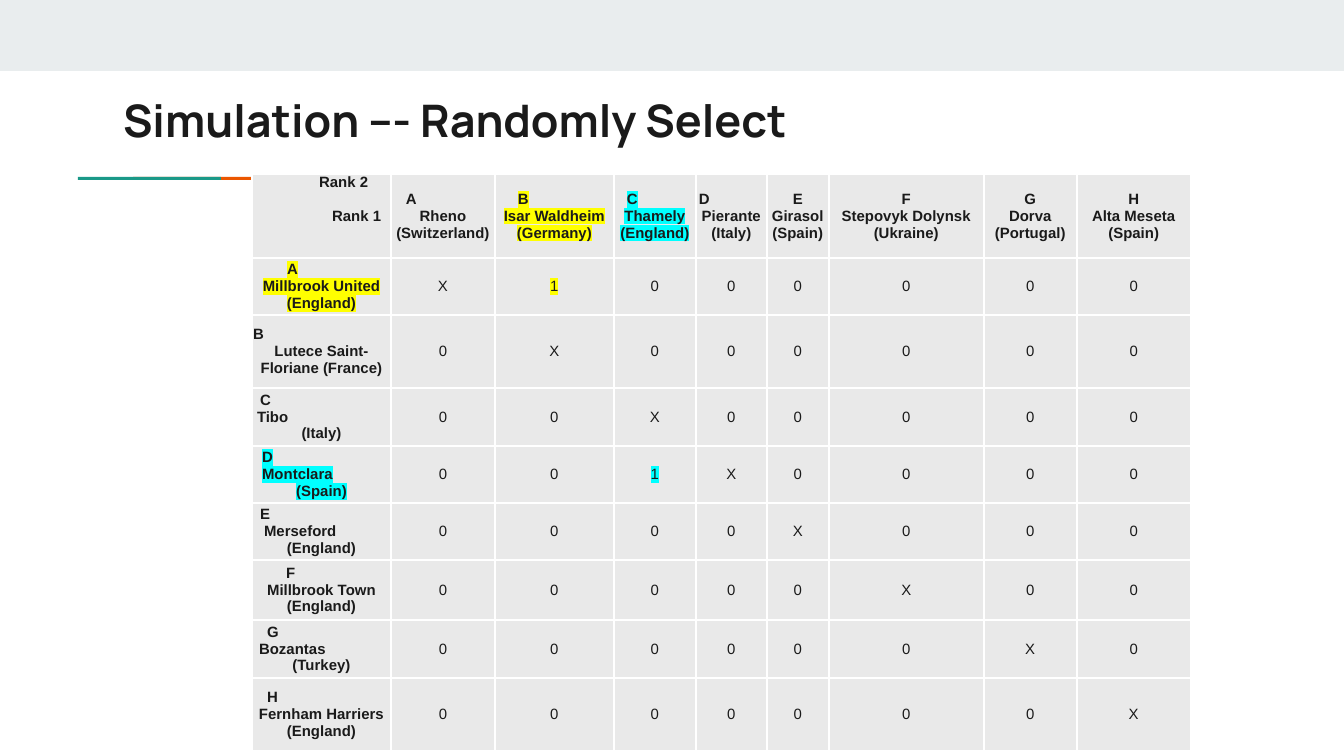
from dataclasses import dataclass

from lxml import etree
from pptx import Presentation
from pptx.dml.color import RGBColor
from pptx.enum.shapes import MSO_SHAPE
from pptx.enum.text import MSO_ANCHOR, PP_ALIGN
from pptx.oxml.ns import qn
from pptx.util import Emu, Pt

RECT = MSO_SHAPE.RECTANGLE
TOP, MIDDLE = MSO_ANCHOR.TOP, MSO_ANCHOR.MIDDLE
LEFT, CENTER = PP_ALIGN.LEFT, PP_ALIGN.CENTER

SCALE = 914400 / 134.4
INK, GREY, WHITE = "1A1A1A", "E9E9E9", "FFFFFF"
YELLOW, CYAN = "FFFF00", "00FFFF"


@dataclass
class Bar:
    left: int
    top: int
    width: int
    height: int
    fill: str


@dataclass
class Line:
    text: str
    left: int | None = None  # indent; centred when absent
    gap: int = 0


@dataclass
class Label:
    lines: list[Line]
    mark: str = ""


def px(n: int) -> Emu:
    return Emu(round(n * SCALE))


def color(code: str) -> RGBColor:
    return RGBColor.from_string(code)


def team(group: str, left: int | None, name: str, mark: str = "") -> Label:
    return Label([Line(group, left), Line(name)], mark)


def split(group: str, left: int, name: str, shift: int, land: str,
          mark: str = "") -> Label:
    return Label([Line(group, left), Line(name, shift), Line(land)], mark)


BARS = [
    Bar(0, 0, 1344, 71, "E9EDEE"),
    Bar(133, 177, 143, 3, "EB5600"),
    Bar(78, 177, 143, 3, "1A9988"),
]
CORNER = Label([Line("Rank 2", 67), Line("Rank 1", 80, 17)])
SECOND = [
    team("A", 15, "Rheno (Switzerland)"),
    team("B", 23, "Isar Waldheim (Germany)", YELLOW),
    team("C", 13, "Thamely (England)", CYAN),
    team("D", 3, "Pierante (Italy)"),
    team("E", None, "Girasol (Spain)"),
    team("F", None, "Stepovyk Dolynsk (Ukraine)"),
    team("G", None, "Dorva (Portugal)"),
    team("H", None, "Alta Meseta (Spain)"),
]
FIRST = [
    team("A", 35, "Millbrook United (England)", YELLOW),
    team("B", 1, "Lutece Saint-Floriane (France)"),
    split("C", 8, "Tibo", 5, "(Italy)"),
    split("D", 10, "Montclara", 10, "(Spain)", CYAN),
    split("E", 8, "Merseford", 12, "(England)"),
    team("F", 34, "Millbrook Town (England)"),
    split("G", 15, "Bozantas", 7, "(Turkey)"),
    team("H", 15, "Fernham Harriers (England)"),
]
PICKS = {(0, 1): YELLOW, (3, 2): CYAN}  # drawn pairs: first, second
WIDTHS = [139, 104, 119, 82, 71, 62, 155, 93, 114]
HEIGHTS = [84, 57, 73, 58, 57, 57, 60, 58, 73]


def draw_bar(slide, bar: Bar) -> None:
    shape = slide.shapes.add_shape(RECT, px(bar.left), px(bar.top),
                                   px(bar.width), px(bar.height))
    shape.shadow.inherit = False
    shape.fill.solid()
    shape.fill.fore_color.rgb = color(bar.fill)
    shape.line.fill.background()


def style(run, name: str, size: int, bold: bool, mark: str = "") -> None:
    font = run.font
    font.name, font.size, font.bold = name, Pt(size), bold
    font.color.rgb = color(INK)
    if mark:
        light = etree.Element(qn("a:highlight"))
        etree.SubElement(light, qn("a:srgbClr"), val=mark)
        run._r.rPr.find(qn("a:solidFill")).addnext(light)


def add_edges(cell) -> None:
    props = cell._tc.get_or_add_tcPr()
    for spot, side in enumerate("LRTB"):
        edge = etree.Element(qn(f"a:ln{side}"), w=str(Pt(1)))
        fill = etree.SubElement(edge, qn("a:solidFill"))
        etree.SubElement(fill, qn("a:srgbClr"), val=WHITE)
        props.insert(spot, edge)


def fill_cell(cell, label: Label, bold: bool, anchor=MIDDLE) -> None:
    cell.fill.solid()
    cell.fill.fore_color.rgb = color(GREY)
    cell.margin_left = cell.margin_right = 0
    cell.margin_top = cell.margin_bottom = 0
    cell.vertical_anchor = anchor
    add_edges(cell)
    frame = cell.text_frame
    frame.text = "\n".join(line.text for line in label.lines)
    for para, line in zip(frame.paragraphs, label.lines):
        para.alignment = CENTER if line.left is None else LEFT
        if line.left is not None:
            para._p.get_or_add_pPr().set("marL", str(px(line.left)))
        if line.gap:
            para.space_before = px(line.gap)
        style(para.runs[0], "Arial", 8, bold, label.mark)


def draw_title(slide, text: str) -> None:
    title = slide.shapes.title
    title.left, title.top = px(110), px(80)
    title.width, title.height = px(1130), px(79)
    frame = title.text_frame
    frame.text = text
    frame.word_wrap = True
    frame.vertical_anchor = TOP
    frame.margin_left = frame.margin_right = px(13)
    frame.margin_top = frame.margin_bottom = px(13)
    para = frame.paragraphs[0]
    para.alignment = LEFT
    style(para.runs[0], "Manrope", 24, True)


def draw_grid(slide) -> None:
    grid = slide.shapes.add_table(
        len(HEIGHTS), len(WIDTHS), px(252), px(174),
        px(sum(WIDTHS)), px(sum(HEIGHTS))).table
    grid.first_row = grid.horz_banding = False
    for col, width in zip(grid.columns, WIDTHS):
        col.width = px(width)
    for row, height in zip(grid.rows, HEIGHTS):
        row.height = px(height)

    # Headings
    fill_cell(grid.cell(0, 0), CORNER, True, TOP)
    for i, label in enumerate(SECOND, 1):
        fill_cell(grid.cell(0, i), label, True)
    for i, label in enumerate(FIRST, 1):
        fill_cell(grid.cell(i, 0), label, True)

    # Own group is barred, drawn pairs score 1
    for i in range(len(FIRST)):
        for j in range(len(SECOND)):
            mark = PICKS.get((i, j), "")
            text = "X" if i == j else "1" if mark else "0"
            fill_cell(grid.cell(i + 1, j + 1), Label([Line(text)], mark), False)


def main() -> None:
    deck = Presentation()
    deck.slide_width, deck.slide_height = px(1344), px(756)
    slide = deck.slides.add_slide(deck.slide_layouts[5])
    for bar in BARS:
        draw_bar(slide, bar)
    draw_title(slide, "Simulation --- Randomly Select")
    draw_grid(slide)
    deck.save("out.pptx")


if __name__ == "__main__":
    main()
